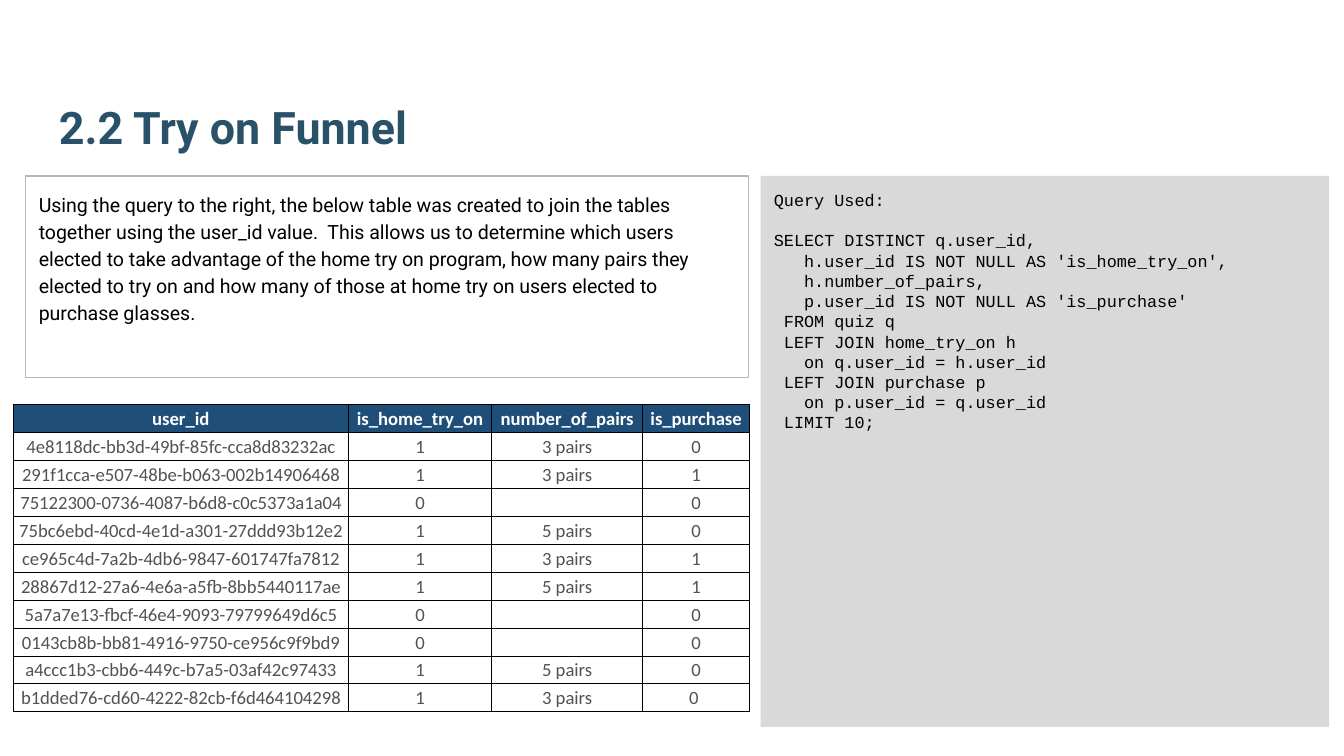
from lxml.etree import SubElement
from pptx import Presentation
from pptx.dml.color import RGBColor
from pptx.enum.shapes import MSO_SHAPE
from pptx.enum.text import MSO_ANCHOR, PP_ALIGN
from pptx.oxml.ns import qn
from pptx.util import Inches, Pt

# Content
TITLE = "2.2 Try on Funnel"
SUMMARY = (
    "Using the query to the right, the below table was created to join the tables "
    "together using the user_id value.  This allows us to determine which users "
    "elected to take advantage of the home try on program, how many pairs they "
    "elected to try on and how many of those at home try on users elected to "
    "purchase glasses."
)
QUERY_LABEL = "Query Used:"
QUERY = [
    "SELECT DISTINCT q.user_id,",
    "   h.user_id IS NOT NULL AS 'is_home_try_on',",
    "   h.number_of_pairs,",
    "   p.user_id IS NOT NULL AS 'is_purchase'",
    " FROM quiz q",
    " LEFT JOIN home_try_on h",
    "   on q.user_id = h.user_id",
    " LEFT JOIN purchase p",
    "   on p.user_id = q.user_id",
    " LIMIT 10;",
]
HEADER = ("user_id", "is_home_try_on", "number_of_pairs", "is_purchase")
USERS = [
    ("4e8118dc-bb3d-49bf-85fc-cca8d83232ac", "1", "3 pairs", "0"),
    ("291f1cca-e507-48be-b063-002b14906468", "1", "3 pairs", "1"),
    ("75122300-0736-4087-b6d8-c0c5373a1a04", "0", "", "0"),
    ("75bc6ebd-40cd-4e1d-a301-27ddd93b12e2", "1", "5 pairs", "0"),
    ("ce965c4d-7a2b-4db6-9847-601747fa7812", "1", "3 pairs", "1"),
    ("28867d12-27a6-4e6a-a5fb-8bb5440117ae", "1", "5 pairs", "1"),
    ("5a7a7e13-fbcf-46e4-9093-79799649d6c5", "0", "", "0"),
    ("0143cb8b-bb81-4916-9750-ce956c9f9bd9", "0", "", "0"),
    ("a4ccc1b3-cbb6-449c-b7a5-03af42c97433", "1", "5 pairs", "0"),
    ("b1dded76-cd60-4222-82cb-f6d464104298", "1", "3 pairs", "0 "),
]
COL_WIDTHS = (2.49, 1.07, 1.12, 0.8)
TABLE_HEIGHT = 2.29
SLIDE_WIDTH = 10
COLORS = {
    "title": "295269", "text": "000000", "panel": "D9D9D9", "frame": "B7B7B7",
    "header": "1F4E78", "header_text": "FFFFFF", "cell_text": "525252",
    "grid": "000000",
}


def rgb(name):
    return RGBColor.from_string(COLORS[name])


def add_run(p, text, font, size, color, bold=False):
    r = p.add_run()
    r.text = text
    r.font.name = font
    r.font.size = Pt(size)
    r.font.bold = bold
    r.font.color.rgb = rgb(color)


def set_frame(tf, anchor):
    tf.word_wrap = True
    tf.vertical_anchor = anchor
    tf.margin_left = tf.margin_right = Inches(0.1)
    tf.margin_top = tf.margin_bottom = Inches(0.1)


def add_panel(s, box, fill=None, line=None):
    sp = s.shapes.add_shape(MSO_SHAPE.RECTANGLE, *map(Inches, box))
    sp.shadow.inherit = False
    if fill:
        sp.fill.solid()
        sp.fill.fore_color.rgb = rgb(fill)
    else:
        sp.fill.background()
    if line:
        sp.line.color.rgb = rgb(line)
        sp.line.width = Pt(0.75)
    else:
        sp.line.fill.background()
    set_frame(sp.text_frame, MSO_ANCHOR.TOP)
    sp.text_frame.paragraphs[0].alignment = PP_ALIGN.LEFT
    return sp.text_frame


def add_borders(cell):
    tcPr = cell._tc.get_or_add_tcPr()
    for i, side in enumerate(("lnL", "lnR", "lnT", "lnB")):
        ln = SubElement(tcPr, qn(f"a:{side}"), w=str(Pt(0.5)))
        fill = SubElement(ln, qn("a:solidFill"))
        SubElement(fill, qn("a:srgbClr"), val=COLORS["grid"])
        tcPr.insert(i, ln)  # borders come before the fill


def fill_cell(cell, text, is_header):
    cell.vertical_anchor = MSO_ANCHOR.MIDDLE
    cell.margin_left = cell.margin_right = cell.margin_top = Inches(0.01)
    cell.margin_bottom = 0
    if is_header:
        cell.fill.solid()
        cell.fill.fore_color.rgb = rgb("header")
    else:
        cell.fill.background()
    add_borders(cell)
    p = cell.text_frame.paragraphs[0]
    p.alignment = PP_ALIGN.CENTER
    if text:
        color = "header_text" if is_header else "cell_text"
        add_run(p, text, "Calibri", 10, color, is_header)
    else:
        # Keeps an empty cell from stretching its row
        SubElement(p._p, qn("a:endParaRPr"), sz="1000")


prs = Presentation()
prs.slide_width = Inches(SLIDE_WIDTH)
prs.slide_height = Inches(SLIDE_WIDTH * 9 / 16)
s = prs.slides.add_slide(prs.slide_layouts[6])

# Title
tf = s.shapes.add_textbox(*map(Inches, (0.34, 0.32, 9.32, 0.92))).text_frame
set_frame(tf, MSO_ANCHOR.BOTTOM)
add_run(tf.paragraphs[0], TITLE, "Roboto", 24, "title", True)

# Query panel
tf = add_panel(s, (5.66, 1.31, 4.23, 4.1), fill="panel")
add_run(tf.paragraphs[0], QUERY_LABEL, "Courier New", 9, "text")
tf.paragraphs[0].space_after = Pt(11)
for line in QUERY:
    p = tf.add_paragraph()
    p.alignment = PP_ALIGN.LEFT
    add_run(p, line, "Courier New", 9, "text")

# Summary box
tf = add_panel(s, (0.19, 1.31, 5.38, 1.5), line="frame")
tf.paragraphs[0].line_spacing = 1.15
add_run(tf.paragraphs[0], SUMMARY, "Roboto", 10.5, "text")

# User table
rows = [HEADER, *USERS]
table = s.shapes.add_table(
    len(rows), len(HEADER), Inches(0.1), Inches(3.01),
    Inches(sum(COL_WIDTHS)), Inches(TABLE_HEIGHT),
).table
table.horz_banding = False
for col, width in zip(table.columns, COL_WIDTHS):
    col.width = Inches(width)
for i, values in enumerate(rows):
    table.rows[i].height = Inches(TABLE_HEIGHT / len(rows))
    for j, text in enumerate(values):
        fill_cell(table.cell(i, j), text, i == 0)

prs.save("out.pptx")
